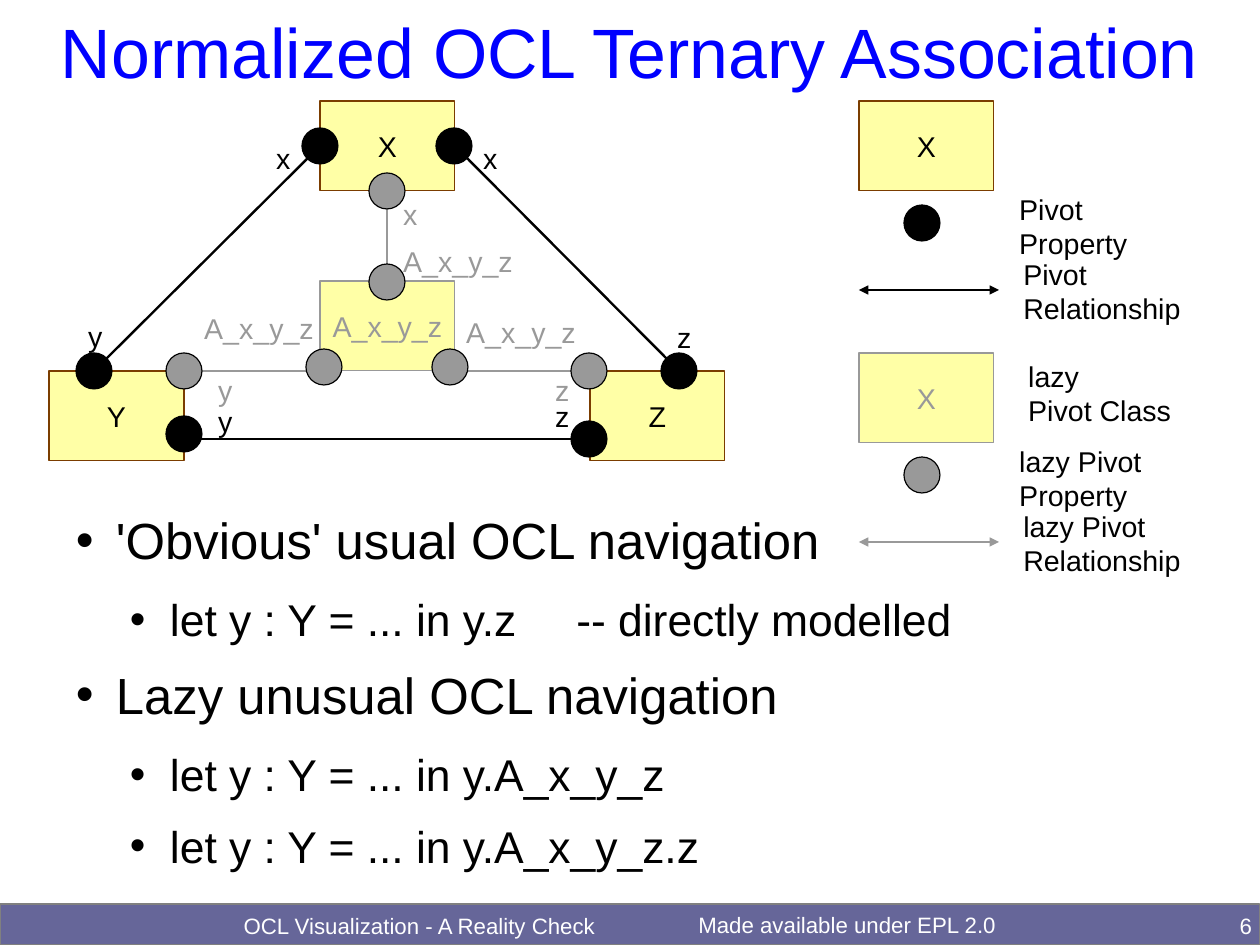
from lxml.etree import SubElement
from pptx import Presentation
from pptx.dml.color import RGBColor
from pptx.enum.shapes import MSO_CONNECTOR as CONN, MSO_SHAPE as SHAPE
from pptx.enum.text import MSO_ANCHOR as ANCHOR, PP_ALIGN as ALIGN
from pptx.oxml.ns import qn
from pptx.util import Pt

PX = 8000
BLACK = RGBColor(0x00, 0x00, 0x00)
WHITE = RGBColor(0xFF, 0xFF, 0xFF)
BLUE = RGBColor(0x00, 0x00, 0xFF)
LAZY = RGBColor(0x99, 0x99, 0x99)
YELLOW = RGBColor(0xFF, 0xFF, 0xA6)
BROWN = RGBColor(0x7B, 0x3D, 0x00)
SLATE = RGBColor(0x66, 0x66, 0x99)
EDGE = RGBColor(0x80, 0x80, 0x80)
BOX_W, BOX_H, DOT = 135, 90, 36


def px(*lengths):
    """Turn px lengths into EMU."""
    return [n * PX for n in lengths]


def write(tf, text, size=18, color=BLACK, align=ALIGN.LEFT, anchor=ANCHOR.TOP, inset=True, wrap=True):
    """Fill a text frame, one paragraph per line of text."""
    tf.word_wrap = wrap
    tf.vertical_anchor = anchor
    if not inset:
        tf.margin_left = tf.margin_top = tf.margin_right = tf.margin_bottom = 0
    for i, line in enumerate(text.split("\n")):
        p = tf.add_paragraph() if i else tf.paragraphs[0]
        p.alignment = align
        r = p.add_run()
        r.text = line
        r.font.size = Pt(size)
        r.font.name = "Arial"
        r.font.color.rgb = color


def label(slide, text, x, y, w=BOX_W, h=43, **fmt):
    """Add a text box."""
    write(slide.shapes.add_textbox(*px(x, y, w, h)).text_frame, text, **fmt)


def shape(slide, kind, x, y, w, h, fill, line):
    """Add a filled shape with a hairline."""
    s = slide.shapes.add_shape(kind, *px(x, y, w, h))
    s.shadow.inherit = False
    s.fill.solid()
    s.fill.fore_color.rgb = fill
    s.line.color.rgb = line
    s.line.width = Pt(0)
    return s


def class_box(slide, text, x, y, color=BLACK):
    """Add a class box, grey when lazy."""
    s = shape(slide, SHAPE.RECTANGLE, x, y, BOX_W, BOX_H, YELLOW, LAZY if color == LAZY else BROWN)
    write(s.text_frame, text, color=color, align=ALIGN.CENTER, anchor=ANCHOR.MIDDLE, wrap=False)


def dot(slide, cx, cy, color):
    """Add a property dot around its centre."""
    shape(slide, SHAPE.OVAL, cx - DOT // 2, cy - DOT // 2, DOT, DOT, color, BLACK)


def arrow(slide, x1, y1, x2, y2, color):
    """Add a double-headed relationship line."""
    s = slide.shapes.add_connector(CONN.STRAIGHT, *px(x1, y1, x2, y2))
    s.line.color.rgb = color
    s.line.width = Pt(1.5)
    ln = s.line._get_or_add_ln()
    for end in ("a:headEnd", "a:tailEnd"):
        SubElement(ln, qn(end), type="triangle")
    SubElement(s._element.spPr, qn("a:effectLst"))


def diagram(slide, left, top):
    """Draw the ternary association."""
    for text, x, y, color in (("A_x_y_z", 271, 180, LAZY), ("X", 271, 0, BLACK),
                              ("Y", 0, 270, BLACK), ("Z", 541, 270, BLACK)):
        class_box(slide, text, left + x, top + y, color)
    for x1, y1, x2, y2, color in (
            (338, 90, 338, 180, LAZY), (271, 270, 131, 270, LAZY), (406, 270, 541, 270, LAZY),
            (271, 45, 45, 270, BLACK), (406, 45, 630, 270, BLACK), (135, 338, 541, 338, BLACK)):
        arrow(slide, left + x1, top + y1, left + x2, top + y2, color)
    for text, x, y, color in (
            ("x", 343, 90, LAZY), ("A_x_y_z", 343, 137, LAZY), ("y", 158, 266, LAZY),
            ("A_x_y_z", 406, 208, LAZY), ("A_x_y_z", 144, 204, LAZY), ("z", 495, 266, LAZY),
            ("z", 617, 213, BLACK), ("y", 28, 212, BLACK), ("x", 423, 34, BLACK),
            ("x", 216, 34, BLACK), ("y", 158, 297, BLACK), ("z", 495, 292, BLACK)):
        label(slide, text, left + x, top + y, color=color)
    for color, centres in (
            (BLACK, ((271, 45), (405, 45), (45, 270), (135, 333), (540, 338), (630, 270))),
            (LAZY, ((338, 90), (338, 181), (275, 266), (401, 266), (135, 270), (540, 270)))):
        for x, y in centres:
            dot(slide, left + x, top + y, color)


def legend(slide, left, top, color, property_text, property_w, relation_text):
    """Draw the class, property and relationship keys."""
    class_box(slide, "X", left, top, color)
    dot(slide, left + 63, top + 122, color)
    arrow(slide, left, top + 189, left + 140, top + 189, color)
    label(slide, property_text, left + 149, top + 85, property_w, 75)
    label(slide, relation_text, left + 153, top + 150, 184, 75)


def bullets(slide, left, top, width, height):
    """Write the navigation examples as two bullet levels."""
    tf = slide.shapes.add_textbox(*px(left, top, width, height)).text_frame
    items = ((0, "'Obvious' usual OCL navigation"),
             (1, "let y : Y = ... in y.z\t\t-- directly modelled"),
             (0, "Lazy unusual OCL navigation"),
             (1, "let y : Y = ... in y.A_x_y_z"),
             (1, "let y : Y = ... in y.A_x_y_z.z"))
    write(tf, "\n".join(text for _, text in items), inset=False)
    for p, (level, _) in zip(tf.paragraphs, items):
        p.level = level
        p.space_after = Pt(11.3 if level else 14.2)
        pPr = p._p.get_or_add_pPr()
        pPr.set("marL", str(54 * (level + 1) * PX))
        pPr.set("indent", str(-40 * PX))
        SubElement(pPr, qn("a:buFont"), typeface="Arial")
        SubElement(pPr, qn("a:buChar"), char="•")
        p.runs[0].font.size = Pt(28 if level else 32)


def title(slide, text, left, top, width, height):
    """Place and format the title placeholder."""
    s = slide.shapes.title
    s.left, s.top, s.width, s.height = px(left, top, width, height)
    write(s.text_frame, text, size=44, color=BLUE, align=ALIGN.CENTER, anchor=ANCHOR.MIDDLE, inset=False)


def footer(slide, left, top, width, height):
    """Draw the footer bar and its texts."""
    shape(slide, SHAPE.RECTANGLE, left, top, width, height, SLATE, EDGE)
    small = dict(size=14, color=WHITE)
    label(slide, "Made available under EPL 2.0", left + 687, top + 2, 321, 37, **small)
    label(slide, "OCL Visualization - A Reality Check", left + 231, top + 8, 377, 32,
          align=ALIGN.CENTER, inset=False, **small)
    label(slide, "6", left + 1199, top + 8, 53, 32, align=ALIGN.RIGHT, inset=False, **small)


def main():
    """Build the slide and save it."""
    prs = Presentation()
    prs.slide_width, prs.slide_height = px(1260, 945)
    slide = prs.slides.add_slide(prs.slide_layouts[5])
    title(slide, "Normalized OCL Ternary Association", 0, -2, 1260, 105)
    footer(slide, 0, 904, 1260, 41)
    bullets(slide, 62, 509, 1134, 381)
    diagram(slide, 49, 101)
    legend(slide, 859, 101, BLACK, "Pivot Property", 135, "Pivot\nRelationship")
    legend(slide, 859, 353, LAZY, "lazy Pivot Property", 176, "lazy Pivot\nRelationship")
    label(slide, "lazy\nPivot Class", 1017, 353, 243, 75)
    prs.save("out.pptx")


if __name__ == "__main__":
    main()
